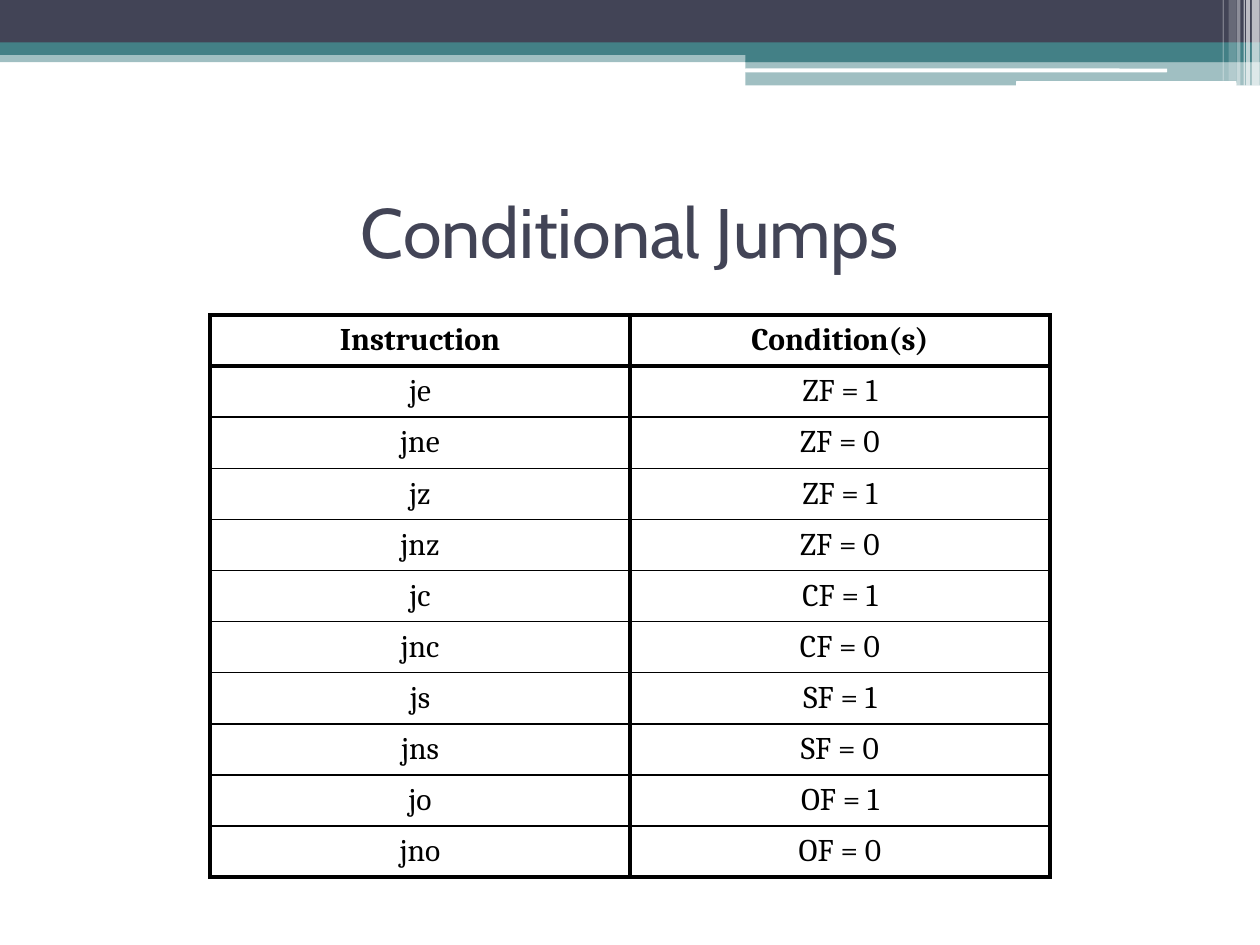
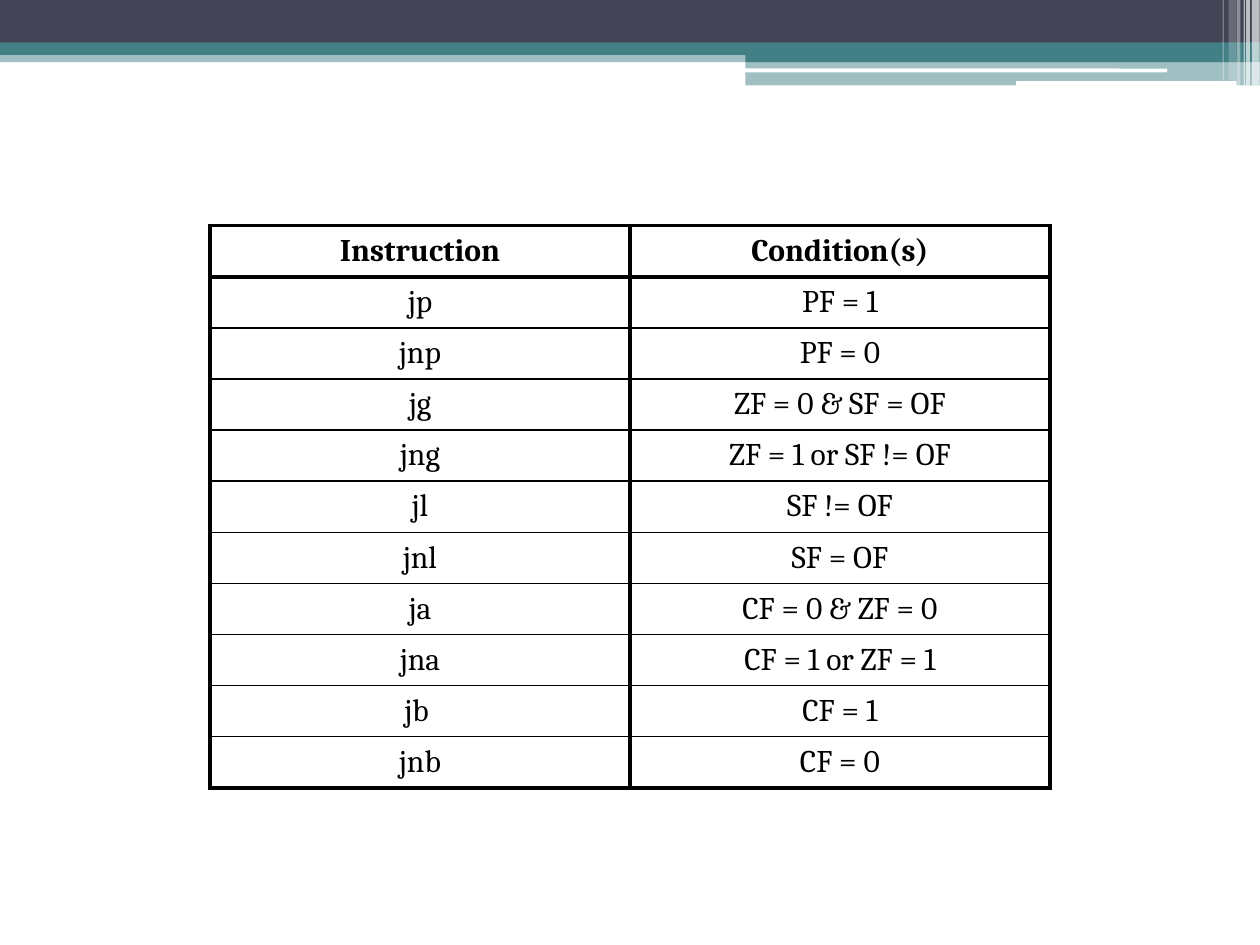
from lxml.etree import SubElement
from pptx import Presentation
from pptx.dml.color import RGBColor
from pptx.enum.shapes import MSO_SHAPE
from pptx.enum.text import MSO_ANCHOR, MSO_AUTO_SIZE, PP_ALIGN
from pptx.oxml import parse_xml
from pptx.oxml.ns import nsdecls, qn
from pptx.util import Pt

SLATE = RGBColor(0x42, 0x44, 0x56)
TEAL = RGBColor(0x43, 0x80, 0x86)
WHITE = RGBColor(0xFF, 0xFF, 0xFF)
BLACK = RGBColor(0x00, 0x00, 0x00)

SLIDE_W, SLIDE_H = 720, 540
TITLE_ONLY, BLANK = 5, 6
TITLE_BOX = (36, 90, 648, 84)
TABLE_X, TABLE_W, ROW_H = 120, 480, 29.2
THICK, THIN = 2.25, 1

TITLE_FONT = {"name": "Cabin", "size": Pt(40), "bold": False}
CELL_FONT = {"name": "Cambria", "size": Pt(18)}

# left, top, width, height, colour, opacity in percent
BANDS = [
    (0, 28.9, SLIDE_W, 6.65, TEAL, 50),
    (0, 0, SLIDE_W, 24.46, SLATE, 100),
    (0, 24.27, SLIDE_W, 7.2, TEAL, 100),
    (425.9, 28.37, 294.1, 7.17, TEAL, 100),
    (425.9, 34.65, 294.1, 14.18, TEAL, 50),
]
RULES = [
    (425.77, 39.17, 241.2, 2.16, WHITE, 100),
    (580.6, 46.37, 126, 2.88, WHITE, 100),
]
# left, width, height, opacity in percent
STRIPES = [
    (715.35, 4.54, 48.96, 65),
    (712.16, 2.16, 48.96, 65),
    (710.66, 0.72, 48.96, 60),
    (706.73, 2.16, 48.96, 40),
    (702.02, 4.32, 46.08, 20),
    (698.7, 0.72, 46.08, 30),
]

HEADINGS = ("Instruction", "Condition(s)")
FLAG_JUMPS = [
    ("je", "ZF = 1"),
    ("jne", "ZF = 0"),
    ("jz", "ZF = 1"),
    ("jnz", "ZF = 0"),
    ("jc", "CF = 1"),
    ("jnc", "CF = 0"),
    ("js", "SF = 1"),
    ("jns", "SF = 0"),
    ("jo", "OF = 1"),
    ("jno", "OF = 0"),
]
COMPARE_JUMPS = [
    ("jp", "PF = 1"),
    ("jnp", "PF = 0"),
    ("jg", "ZF = 0 & SF = OF"),
    ("jng", "ZF = 1 or SF != OF"),
    ("jl", "SF != OF"),
    ("jnl", "SF = OF"),
    ("ja", "CF = 0 & ZF = 0"),
    ("jna", "CF = 1 or ZF = 1"),
    ("jb ", "CF = 1"),
    ("jnb", "CF = 0"),
]


def format_text(p, color, values):
    p.alignment = PP_ALIGN.CENTER
    font = p.runs[0].font
    font.color.rgb = color
    for name, value in values.items():
        setattr(font, name, value)


def add_bar(slide, kind, x, y, w, h, color, opacity):
    sp = slide.shapes.add_shape(kind, Pt(x), Pt(y), Pt(w), Pt(h))
    sp.shadow.inherit = False
    sp.line.fill.background()
    sp.fill.solid()
    sp.fill.fore_color.rgb = color
    if opacity < 100:
        clr = sp.element.spPr.find(".//" + qn("a:srgbClr"))
        SubElement(clr, qn("a:alpha"), val=str(opacity * 1000))
    return sp


def add_master_header(prs, slide):
    """Draw the top band on a slide, then move it to the master for all slides."""
    bars = [add_bar(slide, MSO_SHAPE.RECTANGLE, *band) for band in BANDS]
    bars += [add_bar(slide, MSO_SHAPE.ROUNDED_RECTANGLE, *rule) for rule in RULES]
    bars += [add_bar(slide, MSO_SHAPE.RECTANGLE, x, 0, w, h, WHITE, opacity)
             for x, w, h, opacity in STRIPES]
    tree = prs.slide_master.shapes.element
    for number, sp in enumerate(bars, 101):
        sp.element.find(".//" + qn("p:cNvPr")).set("id", str(number))
        tree.append(sp.element)


def set_title(slide, text, box):
    sp = slide.shapes.title
    sp.left, sp.top, sp.width, sp.height = map(Pt, box)
    tf = sp.text_frame
    tf.text = text
    tf.word_wrap = True
    tf.auto_size = MSO_AUTO_SIZE.NONE
    tf.vertical_anchor = MSO_ANCHOR.MIDDLE
    format_text(tf.paragraphs[0], SLATE, TITLE_FONT)


def set_borders(cell, top, bottom):
    widths = {"lnL": THICK, "lnR": THICK, "lnT": top, "lnB": bottom}
    tc_pr = cell._tc.get_or_add_tcPr()
    for i, (side, width) in enumerate(widths.items()):
        tc_pr.insert(i, parse_xml(
            f'<a:{side} {nsdecls("a")} w="{Pt(width)}"><a:solidFill>'
            f'<a:srgbClr val="{BLACK}"/></a:solidFill></a:{side}>'))


def add_jump_table(slide, jumps, x, y, w):
    rows = [HEADINGS, *jumps]
    last = len(rows) - 1
    table = slide.shapes.add_table(len(rows), len(HEADINGS), Pt(x), Pt(y),
                                   Pt(w), Pt(ROW_H * len(rows))).table
    table.first_row = table.horz_banding = False
    for r, values in enumerate(rows):
        table.rows[r].height = Pt(ROW_H)
        for c, text in enumerate(values):
            cell = table.cell(r, c)
            cell.text = text
            cell.vertical_anchor = MSO_ANCHOR.MIDDLE
            cell.fill.background()
            format_text(cell.text_frame.paragraphs[0], BLACK,
                        {**CELL_FONT, "bold": r == 0})
            set_borders(cell, THICK if r <= 1 else THIN,
                        THICK if r in (0, last) else THIN)


def main():
    prs = Presentation()
    prs.slide_width, prs.slide_height = Pt(SLIDE_W), Pt(SLIDE_H)

    slide = prs.slides.add_slide(prs.slide_layouts[TITLE_ONLY])
    add_master_header(prs, slide)
    set_title(slide, "Conditional Jumps", TITLE_BOX)
    add_jump_table(slide, FLAG_JUMPS, TABLE_X, 180, TABLE_W)

    slide = prs.slides.add_slide(prs.slide_layouts[BLANK])
    add_jump_table(slide, COMPARE_JUMPS, TABLE_X, 129, TABLE_W)

    prs.save("out.pptx")


if __name__ == "__main__":
    main()
